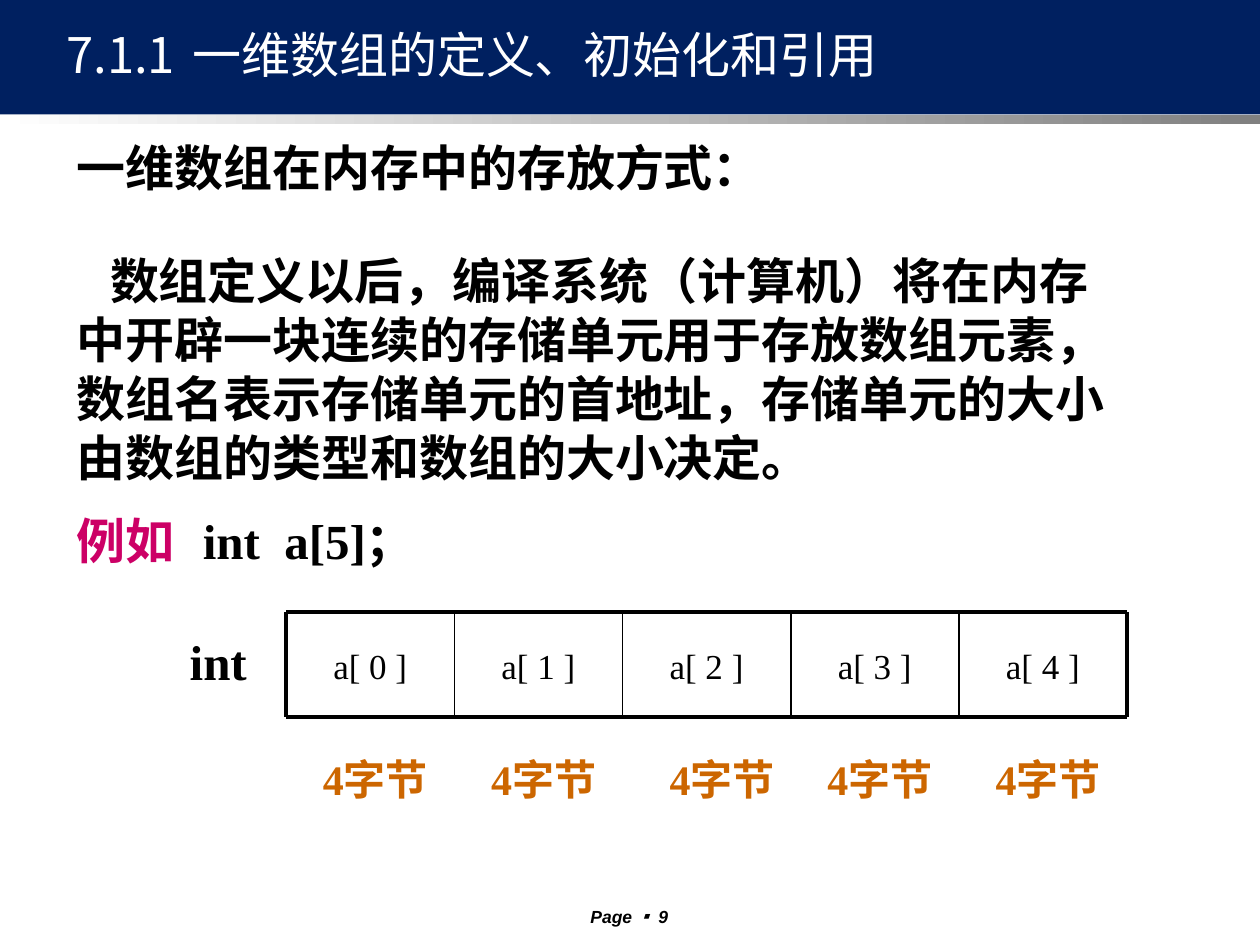
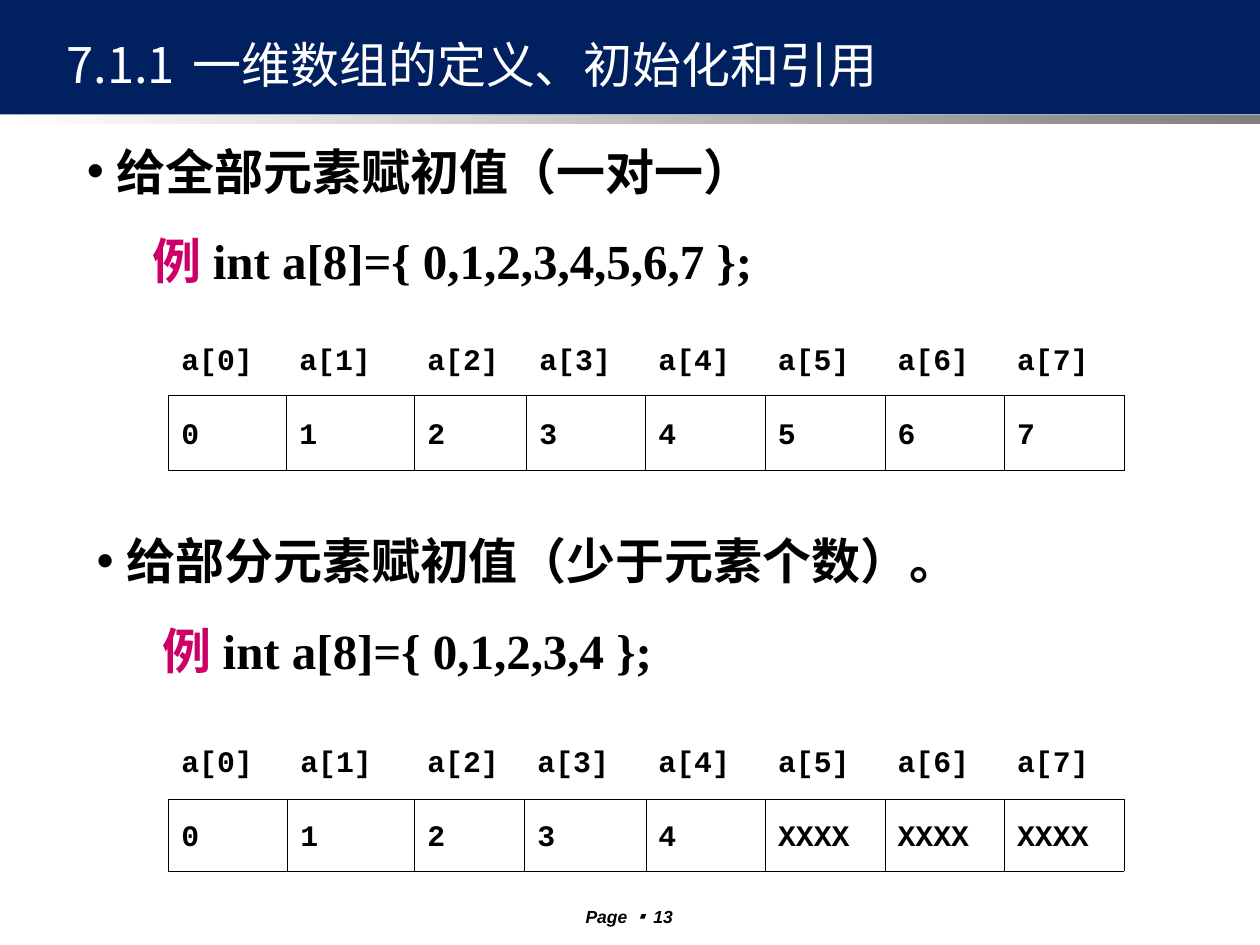
"""Builds two slides on storing and initialising one-dimensional arrays."""
from lxml import etree
from pptx import Presentation
from pptx import util as u
from pptx.dml.color import RGBColor
from pptx.enum import shapes, text
from pptx.oxml.ns import qn

NAVY = RGBColor(0x00, 0x20, 0x60)
GRAY = RGBColor(0x80, 0x80, 0x80)
WHITE = RGBColor(0xFF, 0xFF, 0xFF)
BLACK = RGBColor(0x00, 0x00, 0x00)
PINK = RGBColor(0xCC, 0x00, 0x66)
ORANGE = RGBColor(0xCC, 0x66, 0x00)

SANS, SERIF, MONO, CJK = "Arial", "Times New Roman", "Courier New", "Noto Sans CJK JP"
LEFT, CENTER = text.PP_ALIGN.LEFT, text.PP_ALIGN.CENTER
TOP, MIDDLE = text.MSO_ANCHOR.TOP, text.MSO_ANCHOR.MIDDLE
TITLE = "7.1.1\t一维数组的定义、初始化和引用"


def cm(*values):
    return [u.Cm(v) for v in values]


class Deck:
    def __init__(self):
        self.prs = Presentation()
        self.prs.slide_width, self.prs.slide_height = cm(25.4, 19.05)
        self.s = None

    def slide(self, page, title_top, title_width):
        self.s = self.prs.slides.add_slide(self.prs.slide_layouts[5])
        self.rect(0, 0, 25.4, 2.31, NAVY)
        fill = self.rect(0, 2.31, 25.4, 0.2, WHITE).fill
        fill.gradient()
        fill.gradient_angle = 0
        for stop, position, color in zip(fill.gradient_stops, (0, 1), (WHITE, GRAY)):
            stop.position, stop.color.rgb = position, color
        footer = self.box(10.69, 18.14, 3.99, 0.56)
        self.para(footer, [("Page ", BLACK, SANS), ("▪ ", BLACK, CJK), (str(page), BLACK, SANS)],
                  size=10, italic=True, align=CENTER)
        title = self.s.shapes.title
        title.left, title.top, title.width, title.height = cm(1.09, title_top, title_width, 1.9)
        self.frame(title.text_frame, MIDDLE)
        self.para(title.text_frame, [(TITLE, WHITE, CJK)], bold=False, tab=3.07)
        title.element.getparent().append(title.element)

    def frame(self, tf, anchor):
        tf.word_wrap = True
        tf.auto_size = text.MSO_AUTO_SIZE.NONE
        tf.vertical_anchor = anchor
        tf.margin_left = tf.margin_right = u.Cm(0.25)
        tf.margin_top = tf.margin_bottom = u.Cm(0.13)

    def rect(self, x, y, w, h, color):
        sp = self.s.shapes.add_shape(shapes.MSO_SHAPE.RECTANGLE, *cm(x, y, w, h))
        sp.shadow.inherit = False
        sp.fill.solid()
        sp.fill.fore_color.rgb = color
        sp.line.fill.background()
        self.frame(sp.text_frame, MIDDLE)
        return sp

    def box(self, x, y, w, h, anchor=TOP):
        tf = self.s.shapes.add_textbox(*cm(x, y, w, h)).text_frame
        self.frame(tf, anchor)
        return tf

    def para(self, tf, runs, size=28, bold=True, italic=False, align=LEFT, spacing=None,
             margin=0, indent=0, tab=None, bullet=None):
        first = tf.paragraphs[0]
        p = tf.add_paragraph() if first.runs else first
        pPr = p._p.get_or_add_pPr()
        pPr.set("marL", str(u.Cm(margin)))
        pPr.set("indent", str(u.Cm(indent)))
        if bullet:
            etree.SubElement(pPr, qn("a:buFont"), typeface=SANS)
            etree.SubElement(pPr, qn("a:buChar"), char=bullet)
        if tab:
            tabs = etree.SubElement(pPr, qn("a:tabLst"))
            etree.SubElement(tabs, qn("a:tab"), pos=str(u.Cm(tab)), algn="l")
        p.alignment = align
        if spacing:
            p.line_spacing = spacing
        if p._p is not first._p:
            p.space_before = u.Pt(17.5)
        for words, color, font in runs:
            r = p.add_run()
            r.text = words
            r.font.name, r.font.size = font, u.Pt(size)
            r.font.bold, r.font.italic = bold, italic
            r.font.color.rgb = color
            etree.SubElement(r._r.get_or_add_rPr(), qn("a:ea"), typeface=CJK)

    def line(self, x1, y1, x2, y2, width):
        ln = self.s.shapes.add_connector(shapes.MSO_CONNECTOR.STRAIGHT, *cm(x1, y1, x2, y2))
        ln.line.color.rgb = BLACK
        ln.line.width = u.Pt(width)
        etree.SubElement(ln.element.spPr, qn("a:effectLst"))

    def border(self, cell, sides):
        tcPr = cell._tc.get_or_add_tcPr()
        for side in "LRTB":
            ln = etree.SubElement(tcPr, qn("a:ln" + side), w=str(u.Pt(0.45)))
            if side in sides:
                fill = etree.SubElement(ln, qn("a:solidFill"))
                etree.SubElement(fill, qn("a:srgbClr"), val=str(BLACK))
            else:
                etree.SubElement(ln, qn("a:noFill"))

    def array_table(self, y, widths, heights, values):
        rows = [[f"a[{i}]" for i in range(len(values))], values]
        tbl = self.s.shapes.add_table(2, len(values), *cm(3.4, y, sum(widths), sum(heights))).table
        tbl.first_row = tbl.horz_banding = False
        for column, width in zip(tbl.columns, widths):
            column.width = u.Cm(width)
        for i, (height, row) in enumerate(zip(heights, rows)):
            tbl.rows[i].height = u.Cm(height)
            for j, value in enumerate(row):
                cell = tbl.cell(i, j)
                self.border(cell, "LRTB" if i else "B")
                cell.fill.background()
                cell.vertical_anchor = MIDDLE
                self.para(cell.text_frame, [(value, BLACK, MONO)], size=17, spacing=1.2)

    def initialiser(self, x, y, width, heading, code, tab):
        tf = self.box(x, y, width, 3.25)
        self.para(tf, [(heading, BLACK, SERIF)], margin=0.6, indent=-0.6, bullet="•")
        self.para(tf, [("例\t", PINK, SERIF), (code, BLACK, SERIF)], indent=1.33, tab=tab)

    def memory_cells(self, x, top, bottom, pitch, count):
        right = x + count * pitch
        for i in range(count):
            sp = self.rect(x + i * pitch, top - 0.07, pitch, bottom - top, WHITE)
            self.para(sp.text_frame, [(f"a[ {i} ]", BLACK, SERIF)], size=20, bold=False,
                      align=CENTER, spacing=1.2)
        for y in (top, bottom):
            self.line(x, y, right, y, 2.25)
        for i in range(count + 1):
            edge = x + i * pitch
            self.line(edge, top, edge, bottom, 1 if 0 < i < count else 2.25)
        for i in range(count):
            nudge = 0.21 if i == 2 else 0
            tf = self.box(x + 0.43 + i * pitch + nudge, 15.06, 2.74, 2.29)
            self.para(tf, [("4字节", ORANGE, SERIF)], size=24, align=CENTER)


def main():
    deck = Deck()

    deck.slide(9, 0.13, 20.19)
    deck.para(deck.box(1.3, 2.31, 17.15, 2.11, MIDDLE),
              [("一维数组在内存中的存放方式：", BLACK, MONO)])
    deck.para(deck.box(1.3, 4.93, 21.79, 5),
              [("数组定义以后，编译系统（计算机）将在内存中开辟一块连续的存储单元用于存放数组元素，"
                "数组名表示存储单元的首地址，存储单元的大小由数组的类型和数组的大小决定。", BLACK, MONO)],
              indent=0.67)
    deck.para(deck.box(1.3, 10.16, 9, 1.45),
              [("例如\t", PINK, SERIF), ("int  a[5]；", BLACK, SERIF)], tab=2.88)
    deck.para(deck.box(3.23, 12.6, 2.34, 1.45), [("int", BLACK, SERIF)], align=CENTER)
    deck.memory_cells(5.77, 12.34, 14.45, 3.39, 5)

    deck.slide(13, 0.33, 19.41)
    deck.initialiser(1.5, 2.72, 19.48, "给全部元素赋初值（一对一）",
                     "int a[8]={ 0,1,2,3,4,5,6,7 };", 3.23)
    deck.initialiser(1.7, 10.57, 16.94, "给部分元素赋初值（少于元素个数）。",
                     "int a[8]={ 0,1,2,3,4 };", 3.47)
    deck.array_table(6.53, [2.38, 2.58, 2.26, 2.4] + [2.41] * 4, [1.43, 1.53], list("01234567"))
    deck.array_table(14.58, [2.4, 2.56, 2.22, 2.44] + [2.41] * 4, [1.53, 1.45],
                     list("01234") + ["XXXX"] * 3)

    deck.prs.save("out.pptx")


if __name__ == "__main__":
    main()
